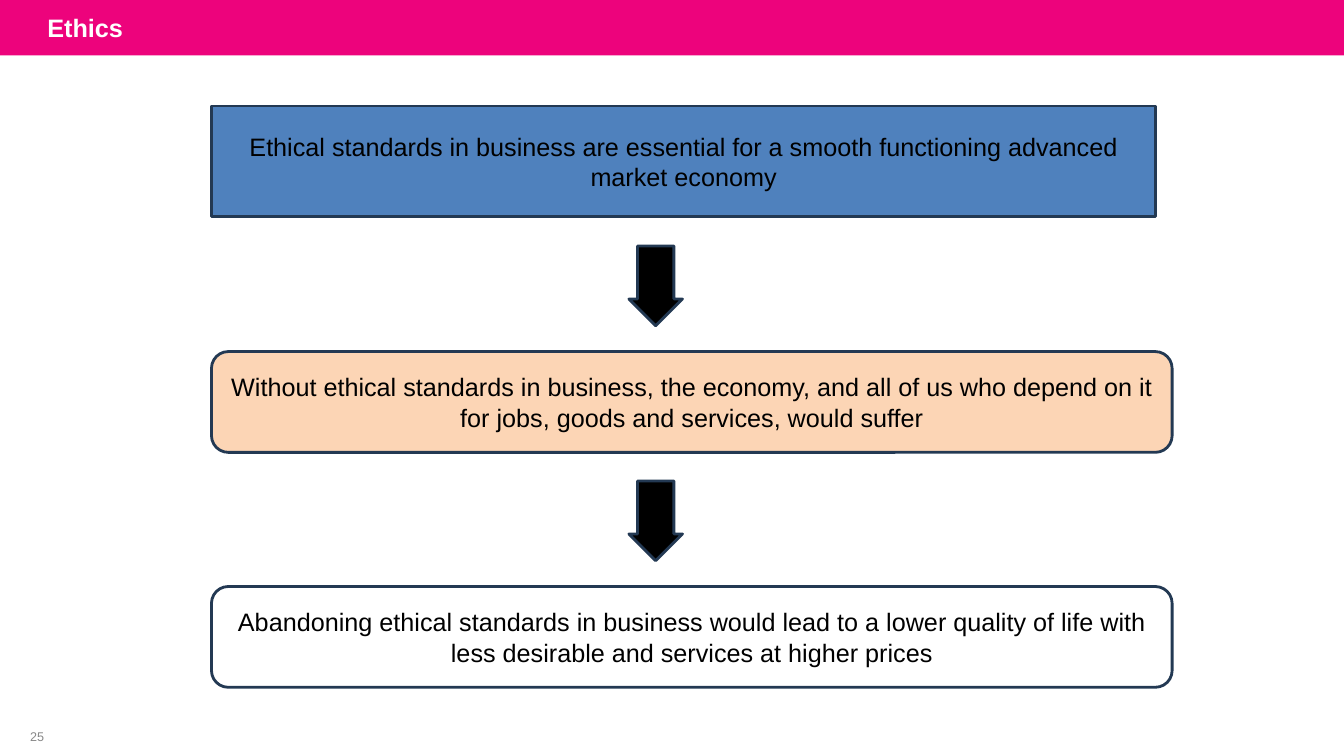
import pptx
import pptx.util
import pptx.dml.color
import pptx.enum.shapes
import pptx.enum.text

Cm, Pt = pptx.util.Cm, pptx.util.Pt
RGB = pptx.dml.color.RGBColor
KIND = pptx.enum.shapes.MSO_SHAPE
ALIGN = pptx.enum.text.PP_ALIGN
MIDDLE = pptx.enum.text.MSO_ANCHOR.MIDDLE

PINK = RGB(0xED, 0x03, 0x7C)
BLUE = RGB(0x4F, 0x81, 0xBD)
PEACH = RGB(0xFC, 0xD5, 0xB5)
NAVY = RGB(0x23, 0x39, 0x53)
GREY = RGB(0x88, 0x88, 0x88)
BLACK = RGB(0, 0, 0)
WHITE = RGB(0xFF, 0xFF, 0xFF)

WIDE, HIGH = 33.87, 19.05
STEP = 5.92  # from one stage of the chain to the next


class Deck:
    font = "Arial"
    size = 18

    def __init__(self):
        self.prs = pptx.Presentation()
        self.prs.slide_width, self.prs.slide_height = Cm(WIDE), Cm(HIGH)
        self.slide = self.prs.slides.add_slide(self.prs.slide_layouts[5])

    def label(self, shape, text, color, align, size=size, bold=False):
        frame = shape.text_frame
        frame.text = text
        frame.word_wrap = True
        frame.vertical_anchor = MIDDLE
        para = frame.paragraphs[0]
        para.alignment = align
        font = para.runs[0].font
        font.name, font.size, font.bold = self.font, Pt(size), bold
        font.color.rgb = color

    def shape(self, kind, box, fill=None, line=None):
        shape = self.slide.shapes.add_shape(kind, *map(Cm, box))
        shape.shadow.inherit = False
        if fill is None:
            shape.fill.background()
        else:
            shape.fill.solid()
            shape.fill.fore_color.rgb = fill
        if line is None:
            shape.line.fill.background()
        else:
            shape.line.color.rgb = line
            shape.line.width = Pt(2)
        return shape

    def title(self, text):
        band = self.shape(KIND.RECTANGLE, (0, 0, WIDE, 1.4), PINK)
        head = self.slide.shapes.title
        band.element.addnext(head.element)  # title in front of the band
        head.left, head.top, head.width, head.height = map(Cm, (0.94, 0, 26.67, 1.4))
        self.label(head, text, WHITE, ALIGN.LEFT, bold=True)

    def stage(self, kind, box, fill, text):
        shape = self.shape(kind, box, fill, NAVY)
        self.label(shape, text, BLACK, ALIGN.CENTER)

    def arrow(self, top):
        shape = self.shape(KIND.DOWN_ARROW, (15.85, top, 1.35, 2.01), BLACK, NAVY)
        shape.adjustments[0] = 0.68

    def number(self, text):
        box = self.slide.shapes.add_textbox(*map(Cm, (0.76, 18.26, 1.2, 0.6)))
        frame = box.text_frame
        frame.margin_left = frame.margin_right = 0
        frame.margin_top = frame.margin_bottom = 0
        self.label(box, text, GREY, ALIGN.LEFT, size=9)


def main():
    deck = Deck()
    deck.title("Ethics")

    # Opening claim
    deck.stage(KIND.RECTANGLE, (5.33, 2.67, 23.8, 2.79), BLUE,
               "Ethical standards in business are essential for a smooth "
               "functioning advanced market economy")

    # Consequences, each led to by an arrow
    chain = [
        (PEACH, "Without ethical standards in business, the economy, and all of us "
                "who depend on it for jobs, goods and services, would suffer"),
        (None, "Abandoning ethical standards in business would lead to a lower "
               "quality of life with less desirable and services at higher prices"),
    ]
    for i, (fill, text) in enumerate(chain):
        box = (5.33, 8.86 + i * STEP, 24.21, 2.54)
        deck.stage(KIND.ROUNDED_RECTANGLE, box, fill, text)
        deck.arrow(6.2 + i * STEP)

    # Page number
    deck.number("25")
    deck.prs.save("out.pptx")


if __name__ == "__main__":
    main()
